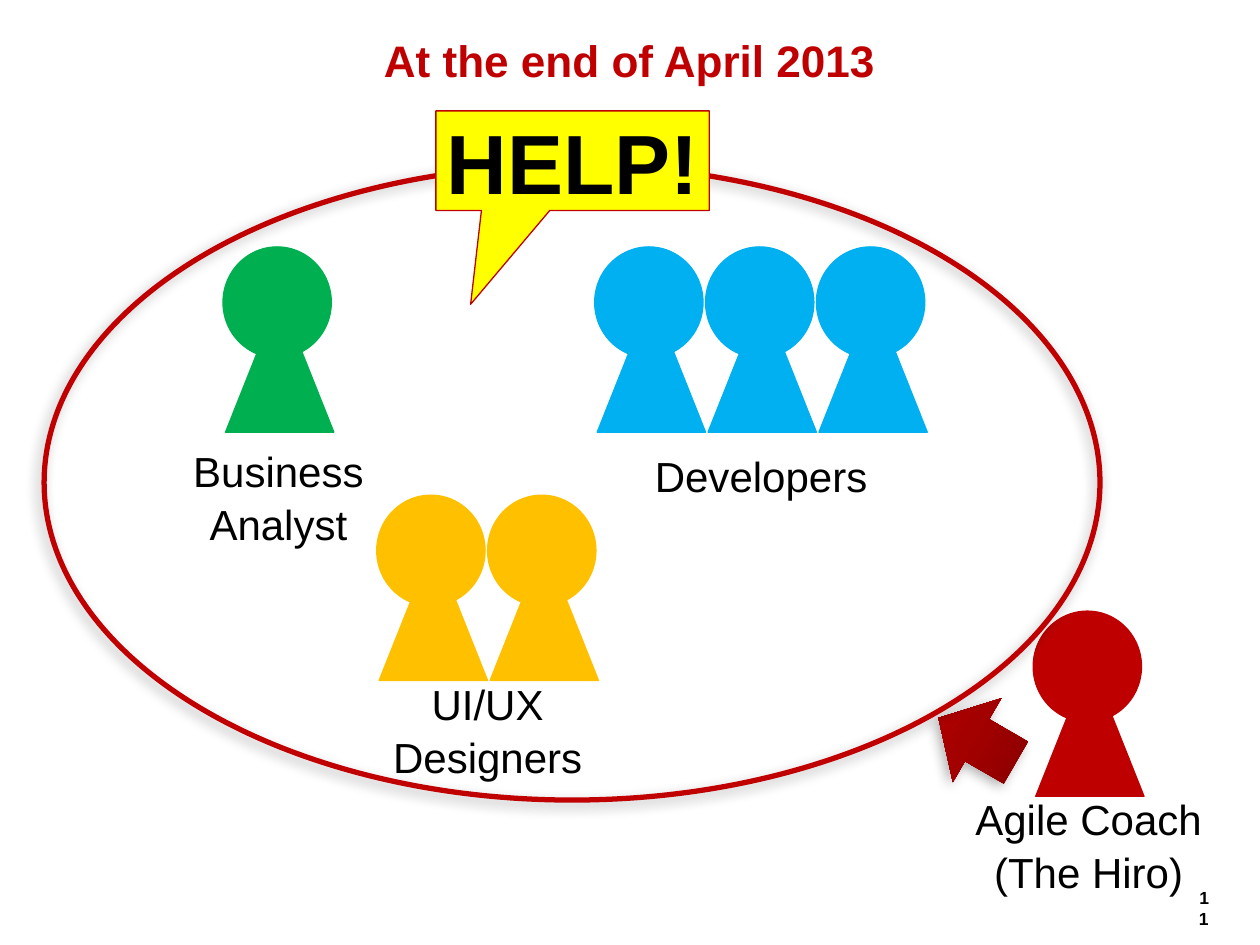
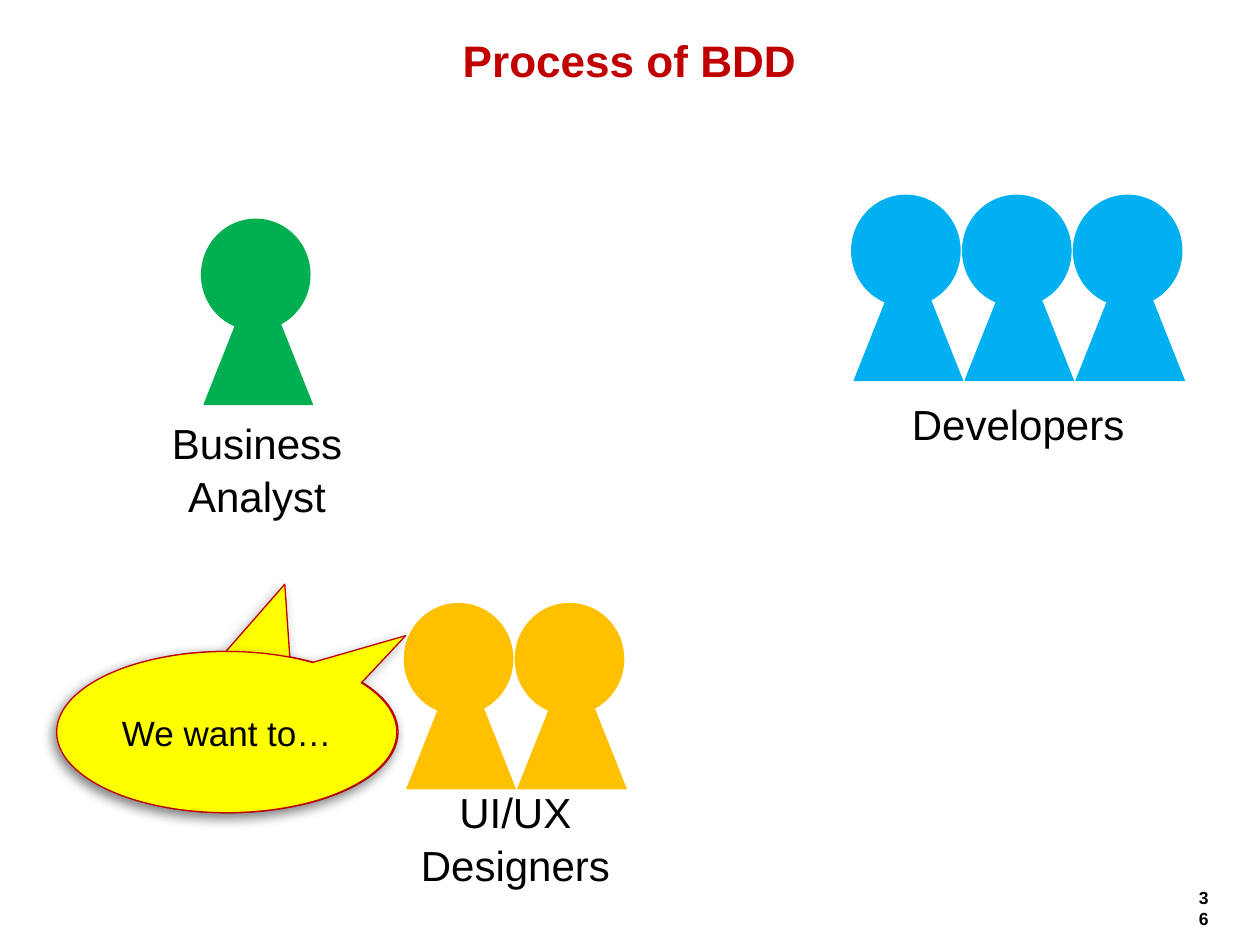
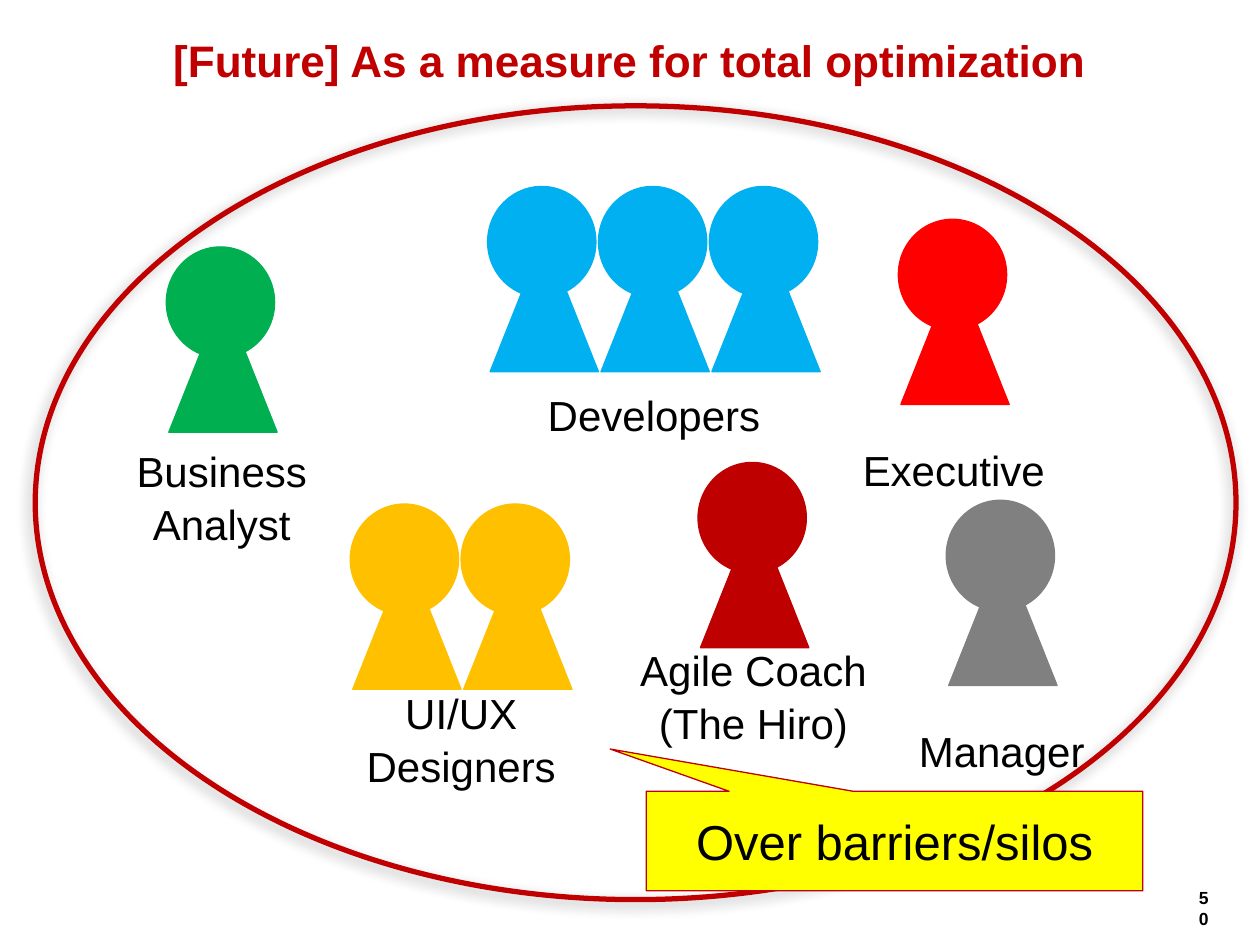
from copy import deepcopy
from dataclasses import dataclass

from lxml.etree import SubElement
from pptx import Presentation
from pptx.dml.color import RGBColor
from pptx.enum.shapes import MSO_SHAPE as Shape
from pptx.enum.text import MSO_ANCHOR as Anchor, MSO_AUTO_SIZE as AutoSize, PP_ALIGN as Align
from pptx.oxml.ns import qn
from pptx.util import Inches, Pt


@dataclass(frozen=True)
class Theme:
    font: str = "Arial"
    black: str = "000000"
    crimson: str = "C00000"
    coach_red: str = "BF0000"
    yellow: str = "FFFF00"
    green: str = "00B050"
    blue: str = "00B0F0"
    amber: str = "FFC000"
    red: str = "FF0000"
    gray: str = "808080"
    arrow_stops: tuple = ((0, "820000"), (0.54, "A30000"), (1, "BF0000"))
    title_size: float = 25.2
    label_size: float = 24
    number_size: float = 10
    thin: float = 0.75
    thick: float = 3


THEME = Theme()
SLIDE_WIDTH, SLIDE_HEIGHT = 10, 7.5
TITLE_BOX = (0.39, 0.28, 9.21, 0.39)
NUMBER_BOX = (9.41, 6.99, 0.28, 0.27)

# A person is a round head over a triangular body; teams repeat it at a fixed pitch.
HEAD_WIDTH, HEAD_HEIGHT = 0.86, 0.88
BODY_HEIGHT, BODY_SHIFT, BODY_DROP = 1.08, 0.02, 0.39
PERSON_PITCH = 0.88
LABEL_HEIGHT = 0.67

# role: label, colour, head count, label width, label drop below the head's top
ROLES = {
    "analyst": ("Business\nAnalyst", THEME.green, 1, 1.66, 1.64),
    "coach": ("Agile Coach\n(The Hiro)", THEME.coach_red, 1, 2.66, 1.51),
    "designers": ("UI/UX\nDesigners", THEME.amber, 2, 2.11, 1.52),
    "developers": ("Developers", THEME.blue, 3, 1.97, 1.47),
    "executive": ("Executive", THEME.red, 1, 1.66, 1.64),
    "manager": ("Manager", THEME.gray, 1, 1.66, 1.64),
}


def callout(text, at, tip, size, kind=Shape.RECTANGULAR_CALLOUT, bold=False):
    return "callout", dict(text=text, at=at, tip=tip, size=size, kind=kind, bold=bold)


def team(role, left, top):
    return "team", dict(role=role, left=left, top=top)


def ring(*at):
    return "ring", dict(at=at)


def request(left, tip):
    return callout("We want to…", (left, 5.17, 2.7, 1.28), tip, 20, Shape.OVAL_CALLOUT)


# title, slide number, parts from back to front
SLIDES = [
    ("At the end of April 2013", 11, [
        team("analyst", 1.77, 1.96),
        team("coach", 8.2, 4.85),
        ("arrow", dict(at=(7.4, 5.49, 0.71, 0.77), rotation=30)),
        team("designers", 2.99, 3.93),
        team("developers", 4.72, 1.96),
        ring(0.35, 1.31, 8.38, 5.04),
        callout("HELP!", (3.46, 0.88, 2.17, 0.79), (-0.373, 1.443), 48, bold=True),
    ]),
    ("Process of BDD", 36, [
        request(0.46, (0.167, -0.917)),
        team("analyst", 1.6, 1.74),
        team("designers", 3.21, 4.79),
        team("developers", 6.76, 1.55),
        request(0.45, (0.526, -0.598)),
    ]),
    ("[Future] As a measure for total optimization", 50, [
        team("analyst", 1.32, 1.96),
        team("executive", 7.13, 1.74),
        team("manager", 7.51, 3.97),
        team("coach", 5.54, 3.67),
        team("designers", 2.78, 4),
        team("developers", 3.87, 1.48),
        ring(0.28, 0.84, 9.53, 6.3),
        callout("Over barriers/silos", (5.13, 6.28, 3.94, 0.79), (-0.573, -0.925), 28),
    ]),
]


def inches(at):
    return [Inches(length) for length in at]


def write(box, text, size, color=THEME.black, bold=False, align=Align.CENTER,
          spacing=1.0, **frame_format):
    frame = box.text_frame
    frame.text = text
    settings = dict(word_wrap=True, auto_size=AutoSize.NONE, vertical_anchor=Anchor.MIDDLE)
    for name, value in (settings | frame_format).items():
        setattr(frame, name, value)
    for para in frame.paragraphs:
        para.alignment, para.line_spacing = align, spacing
        for span in para.runs:
            for name, value in dict(name=THEME.font, size=Pt(size), bold=bold).items():
                setattr(span.font, name, value)
            span.font.color.rgb = RGBColor.from_string(color)


def draw(shapes, kind, at, fill=None, line=None, width=THEME.thin):
    shape = shapes.add_shape(kind, *inches(at))
    shape.shadow.inherit = False
    for form, color in ((shape.fill, fill), (shape.line.fill, line)):
        if color:
            form.solid()
            form.fore_color.rgb = RGBColor.from_string(color)
        else:
            form.background()
    if line:
        shape.line.width = Pt(width)
    return shape


def cast_shadow(shape):
    """Give the shape a soft shadow to its lower left."""
    effects = shape._element.spPr.find(qn("a:effectLst"))
    outer = SubElement(effects, qn("a:outerShdw"), blurRad=str(Pt(7)), dist=str(Pt(3)),
                       dir=str(135 * 60000), algn="tl", rotWithShape="0")
    color = SubElement(outer, qn("a:srgbClr"), val=THEME.black)
    SubElement(color, qn("a:alpha"), val="30000")


def add_team(shapes, role, left, top):
    label, color, count, label_width, label_drop = ROLES[role]
    members = shapes.add_group_shape().shapes
    for index in range(count):
        x = left + index * PERSON_PITCH
        draw(members, Shape.ISOSCELES_TRIANGLE,
             (x + BODY_SHIFT, top + BODY_DROP, HEAD_WIDTH, BODY_HEIGHT), color, color)
        draw(members, Shape.OVAL, (x, top, HEAD_WIDTH, HEAD_HEIGHT), color, color)
    center = left + ((count - 1) * PERSON_PITCH + HEAD_WIDTH + BODY_SHIFT) / 2
    box = members.add_textbox(*inches(
        (center - label_width / 2, top + label_drop, label_width, LABEL_HEIGHT)))
    write(box, label, THEME.label_size, spacing=1.05)


def add_ring(shapes, at):
    cast_shadow(draw(shapes, Shape.OVAL, at, line=THEME.crimson, width=THEME.thick))


def add_arrow(shapes, at, rotation):
    arrow = draw(shapes, Shape.LEFT_ARROW, at)
    arrow.rotation = rotation
    arrow.fill.gradient()
    arrow.fill.gradient_angle = 180
    stop_list = arrow._element.spPr.find(".//" + qn("a:gsLst"))
    stop_list.append(deepcopy(stop_list[0]))
    for stop, (position, color) in zip(arrow.fill.gradient_stops, THEME.arrow_stops):
        stop.position = position
        stop.color.rgb = RGBColor.from_string(color)
    cast_shadow(arrow)


def add_callout(shapes, text, at, tip, size, kind, bold):
    bubble = draw(shapes, kind, at, THEME.yellow, THEME.crimson)
    bubble.adjustments[0], bubble.adjustments[1] = tip
    write(bubble, text, size, bold=bold, word_wrap=False)
    if kind == Shape.OVAL_CALLOUT:
        cast_shadow(bubble)


PART_BUILDERS = dict(team=add_team, ring=add_ring, arrow=add_arrow, callout=add_callout)


def add_page(deck, title, number, parts):
    page = deck.slides.add_slide(deck.slide_layouts.get_by_name("Title Only"))
    heading = page.shapes.title
    heading.left, heading.top, heading.width, heading.height = inches(TITLE_BOX)
    write(heading, title, THEME.title_size, THEME.crimson, bold=True)
    number_box = page.shapes.add_textbox(*inches(NUMBER_BOX))
    write(number_box, str(number), THEME.number_size, bold=True, align=Align.RIGHT,
          vertical_anchor=Anchor.TOP)
    for kind, details in parts:
        PART_BUILDERS[kind](page.shapes, **details)


def main():
    deck = Presentation()
    deck.slide_width, deck.slide_height = inches((SLIDE_WIDTH, SLIDE_HEIGHT))
    for title, number, parts in SLIDES:
        add_page(deck, title, number, parts)
    deck.save("out.pptx")


if __name__ == "__main__":
    main()
